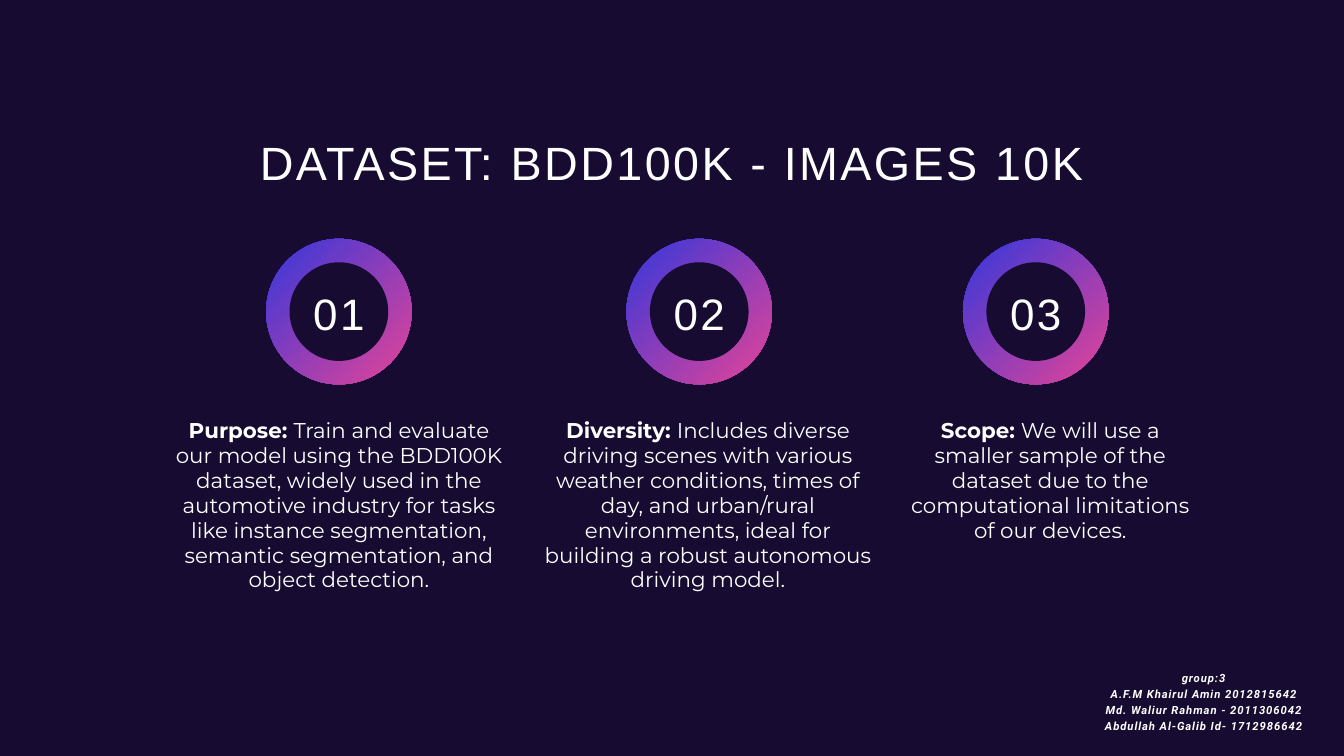
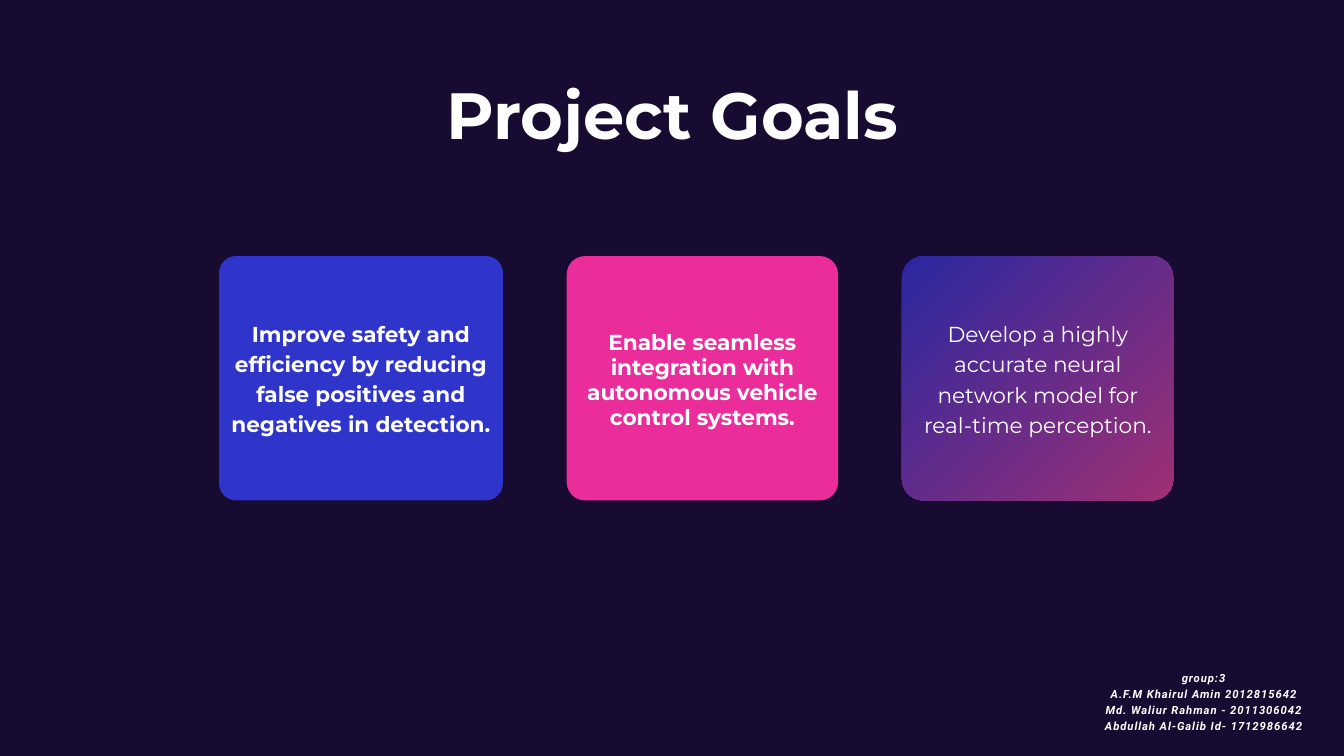
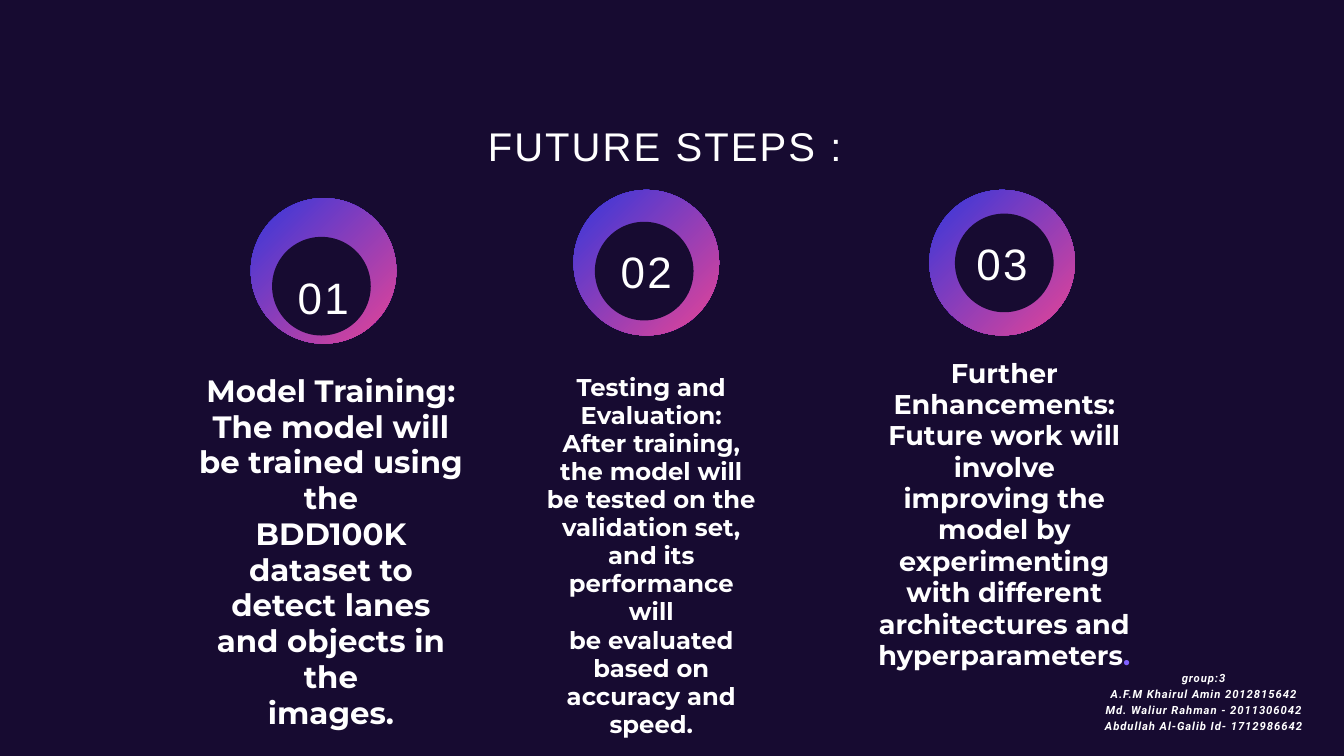
from pptx import Presentation
from pptx.dml.color import RGBColor
from pptx.enum.shapes import MSO_SHAPE as Shape
from pptx.enum.text import MSO_AUTO_SIZE as AutoSize, PP_ALIGN as Align
from pptx.oxml import parse_xml
from pptx.oxml.ns import nsdecls, qn
from pptx.util import Cm, Pt

WIDTH, HEIGHT = 50.8, 28.58
NIGHT, WHITE, VIOLET = "170B31", "FFFFFF", "8061FF"
BLUE, PINK = "2F35CB", "EA2D9B"
GRADIENT = ("3437DC", "E64496")
RING, HOLE = 5.5, 3.73
NUMBER_WIDTH, NUMBER_HEIGHT = 3.56, 2.06
CARD_TOP, CARD_HEIGHT = 9.68, 9.24

# Styles: font name, size, line spacing, then bold, italic and letter spacing in points
NUMBER = dict(name="Arial", size=47.1, line=58.5, spacing=2.5)
BODY = dict(name="Montserrat", size=22.9, line=26.6)
FOOTER = dict(name="Roboto", size=12.1, line=16.9, bold=True, italic=True, spacing=1)

GROUP = [
    "group:3",
    "A.F.M Khairul Amin 2012815642",
    "Md. Waliur Rahman - 2011306042",
    "Abdullah Al-Galib Id- 1712986642",
]

# Ring centre x, text left, text width, heading, text
DATASET_FACTS = [
    (12.81, 6.63, 12.37, "Purpose: ",
     "Train and evaluate our model using the BDD100K dataset, widely used in the automotive "
     "industry for tasks like instance segmentation, semantic segmentation, and object detection."),
    (26.43, 20.5, 12.52, "Diversity: ",
     "Includes diverse driving scenes with various weather conditions, times of day, and "
     "urban/rural environments, ideal for building a robust autonomous driving model."),
    (39.15, 34.19, 11.02, "Scope: ",
     "We will use a smaller sample of the dataset due to the computational limitations "
     "of our devices."),
]

# Card left and width, corner ratio, fill, text left, top and width, size, line, bold, text
GOALS = [
    (8.28, 10.73, 0.07, BLUE, 8.28, 11.96, 10.73, 23.1, 32.4, True,
     "Improve safety and efficiency by reducing false positives and negatives in detection."),
    (21.42, 10.26, 0.075, PINK, 21.42, 12.45, 10.26, 23.2, 26.9, True,
     "Enable seamless integration with autonomous vehicle control systems."),
    (34.09, 10.26, 0.088, GRADIENT, 34.67, 11.96, 9.12, 23.2, 32.5, False,
     "Develop a highly accurate neural network model for real-time perception."),
]

# Centres of ring, hole and number, text box, size, line, paragraphs
STEPS = [
    ((12.23, 10.24), (12.15, 10.82), (12.22, 11.19), (7.47, 14.1, 10.08, 12.17), 33, 38.3,
     ["Model Training: The model will be trained using the",
      "BDD100K dataset to detect lanes and objects in the",
      "images."]),
    ((24.43, 9.93), (24.35, 10.25), (24.43, 10.2), (20.62, 14.1, 8, 12.7), 26, 30.1,
     ["Testing and Evaluation: After training, the model will",
      "be tested on the validation set, and its performance will",
      "be evaluated based on accuracy and speed."]),
    ((37.88, 9.93), (37.96, 9.94), (37.87, 9.89), (33.2, 13.51, 9.53, 11.63), 29, 33.6,
     ["Further Enhancements: Future work will involve",
      "improving the model by experimenting with different",
      [("architectures and hyperparameters", {}), (".", {"color": VIOLET})]]),
]


def rgb(code):
    return RGBColor.from_string(code)


def add_text(page, area, paragraphs, name, size, line, bold=False, italic=False, spacing=0):
    """Each paragraph is a string or a list of (text, overrides) spans."""
    box = page.shapes.add_textbox(*map(Cm, area))
    frame = box.text_frame
    frame.margin_left = frame.margin_right = frame.margin_top = frame.margin_bottom = 0
    frame.word_wrap = True
    frame.auto_size = AutoSize.SHAPE_TO_FIT_TEXT
    for index, content in enumerate(paragraphs):
        para = frame.add_paragraph() if index else frame.paragraphs[0]
        para.alignment = Align.CENTER
        para.line_spacing = Pt(line)
        font = para.font
        font.name, font.size, font.bold, font.italic = name, Pt(size), bold, italic
        font.color.rgb = rgb(WHITE)
        if spacing:
            font._element.set("spc", str(round(spacing * 100)))
        for text, changes in [(content, {})] if isinstance(content, str) else content:
            span = para.add_run()
            span.text = text
            if "bold" in changes:
                span.font.bold = changes["bold"]
            if "color" in changes:
                span.font.color.rgb = rgb(changes["color"])


def add_filled(page, kind, area, fill, opacity=100):
    """A fill is one colour, or a pair for a diagonal gradient."""
    shape = page.shapes.add_shape(kind, *map(Cm, area))
    shape.shadow.inherit = False
    shape.line.fill.background()
    if isinstance(fill, str):
        shape.fill.solid()
        shape.fill.fore_color.rgb = rgb(fill)
        return shape
    shape.fill.gradient()
    shape.fill.gradient_angle = 315
    for stop, code in zip(shape.fill.gradient_stops, fill):
        stop.color.rgb = rgb(code)
    if opacity < 100:
        for color in shape._element.spPr.iter(qn("a:srgbClr")):
            color.append(parse_xml(f'<a:alpha {nsdecls("a")} val="{opacity * 1000}"/>'))
    return shape


def centred(center, width, height):
    return center[0] - width / 2, center[1] - height / 2, width, height


def add_badge(page, number, ring, hole, label):
    add_filled(page, Shape.OVAL, centred(ring, RING, RING), GRADIENT)
    add_filled(page, Shape.OVAL, centred(hole, HOLE, HOLE), NIGHT)
    add_text(page, centred(label, NUMBER_WIDTH, NUMBER_HEIGHT), [f"{number:02}"], **NUMBER)


def add_page(deck, title, area, **style):
    page = deck.slides.add_slide(deck.slide_layouts[6])
    page.background.fill.solid()
    page.background.fill.fore_color.rgb = rgb(NIGHT)
    add_text(page, area, [title], **style)
    add_text(page, (40.54, 25.3, 9.91, 2.95), GROUP, **FOOTER)
    return page


def add_dataset(deck):
    page = add_page(deck, "DATASET: BDD100K - IMAGES 10K", (0, 4.98, WIDTH, 2.21),
                    name="Arial", size=50, line=62.8, spacing=2.6)
    for number, (x, left, width, heading, text) in enumerate(DATASET_FACTS, 1):
        center = (x, 11.78)
        add_badge(page, number, center, center, center)
        spans = [(heading, {"bold": True}), (text, {})]
        add_text(page, (left, 15.82, width, 7.45), [spans], **BODY)


def add_goals(deck):
    page = add_page(deck, "Project Goals", (0, 2.92, WIDTH, 2.9),
                    name="Montserrat", size=70, line=81.2, bold=True)
    for left, width, corner, fill, text_left, top, text_width, size, line, bold, text in GOALS:
        card = add_filled(page, Shape.ROUNDED_RECTANGLE,
                          (left, CARD_TOP, width, CARD_HEIGHT), fill, opacity=66)
        card.adjustments[0] = corner
        add_text(page, (text_left, top, text_width, 4.52), [text],
                 name="Montserrat", size=size, line=line, bold=bold)


def add_steps(deck):
    page = add_page(deck, "FUTURE STEPS : ", (6.27, 4.52, 38.23, 1.88),
                    name="Arial", size=42.9, line=53.9, spacing=2.3)
    for number, (ring, hole, label, area, size, line, paragraphs) in enumerate(STEPS, 1):
        add_badge(page, number, ring, hole, label)
        add_text(page, area, paragraphs, name="Montserrat", size=size, line=line, bold=True)


def main():
    deck = Presentation()
    deck.slide_width, deck.slide_height = Cm(WIDTH), Cm(HEIGHT)
    add_dataset(deck)
    add_goals(deck)
    add_steps(deck)
    deck.save("out.pptx")


if __name__ == "__main__":
    main()
